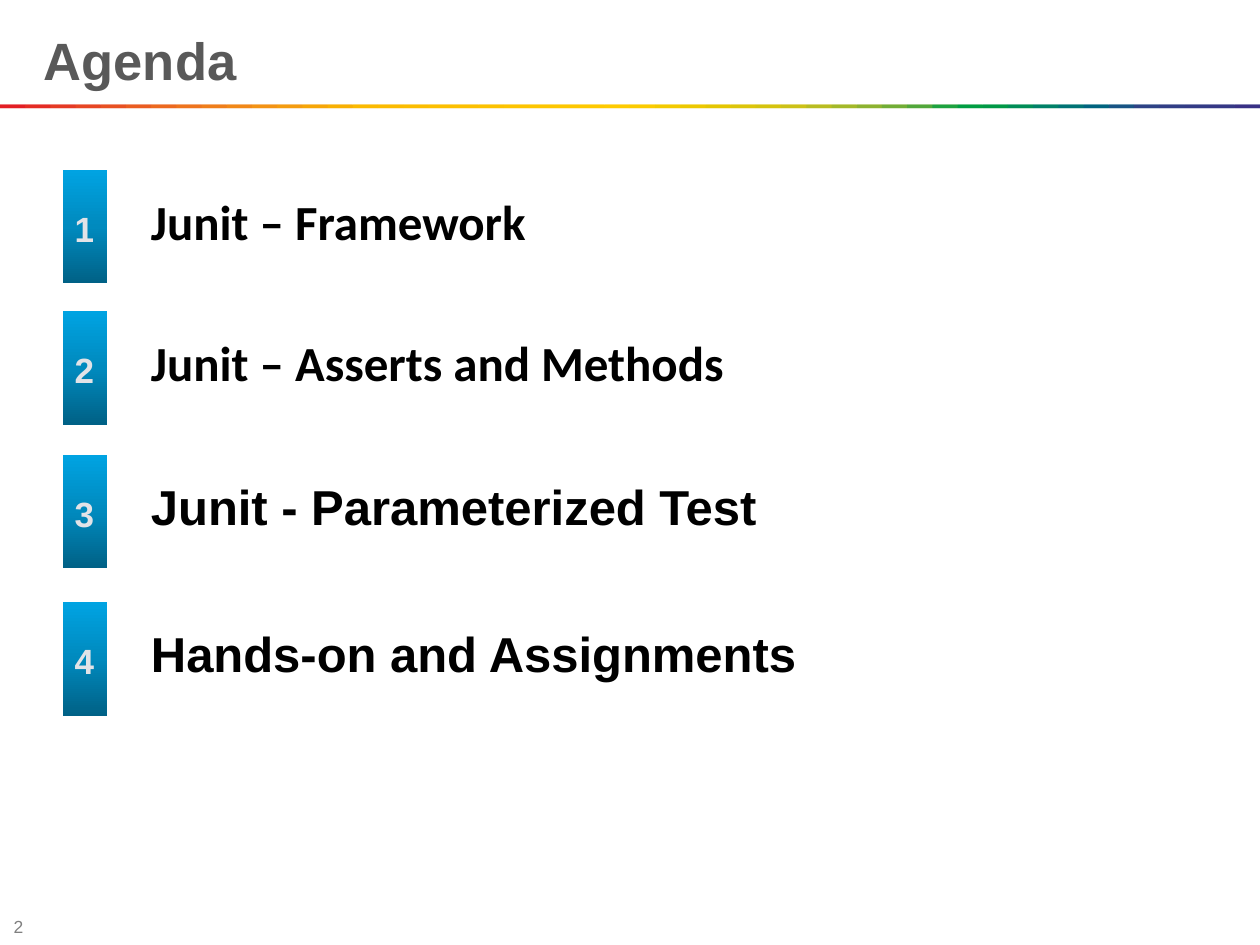
from copy import deepcopy
from dataclasses import dataclass

from pptx import Presentation
from pptx.dml.color import RGBColor as RGB
from pptx.enum.shapes import MSO_SHAPE as Preset
from pptx.enum.text import MSO_ANCHOR as Anchor, PP_ALIGN as Align
from pptx.oxml.ns import qn
from pptx.util import Inches, Pt

COLUMNS, ROWS = 100, 75
CELL = Inches(10) // COLUMNS


@dataclass(frozen=True)
class Theme:
    heading_font: str = "Arial"
    body_font: str = "Calibri"
    title_size: int = 30
    topic_size: int = 28
    numeral_size: int = 20
    page_size: int = 10
    title_color: str = "595959"
    topic_color: str = "000000"
    numeral_color: str = "E2E3E7"
    page_color: str = "808080"
    badge_stops: tuple = ((0, "006186"), (0.5, "008ABE"), (1, "00A3E2"))
    rainbow: tuple = tuple("""
        E31E24 E31E24 E42C24 E53A24 E74623 E85122 EA5D21 EC691F EE741D EF7E1A
        F18817 F39314 F49C0F F6A607 F8B002 FBBA00 FBBB00 FBBD00 FCBF00 FCC000
        FCC200 FDC400 FDC600 FDC700 FEC900 FECB00 FBCB00 F3CA00 ECC800 E4C602
        DCC50A D5C30E CCC117 B8BC21 A3B829 8CB230 71AD36 51A73B 1DA240 009D43
        009846 008C57 008068 007275 00637F 185384 2E4285 313E85 333B85 353885
        393185""".split())


@dataclass(frozen=True)
class Box:
    left: float
    top: float
    width: float
    height: float

    def inner(self, left, top, width, height):
        return Box(self.left + left, self.top + top, width, height)

    def emu(self):
        return [round(n * CELL) for n in (self.left, self.top, self.width, self.height)]


THEME = Theme()
TOPICS = [
    ("Junit – Framework", THEME.body_font, 13.5),
    ("Junit – Asserts and Methods", THEME.body_font, 24.7),
    ("Junit - Parameterized Test", THEME.heading_font, 36.1),
    ("Hands-on and Assignments", THEME.heading_font, 47.8),
]


def add_text(slide, box, text, font, size, color, bold=True,
             anchor=Anchor.TOP, align=Align.LEFT, side=1, edge=0.5):
    frame = slide.shapes.add_textbox(*box.emu()).text_frame
    frame.word_wrap = True
    frame.vertical_anchor = anchor
    frame.margin_left = frame.margin_right = round(side * CELL)
    frame.margin_top = frame.margin_bottom = round(edge * CELL)
    paragraph = frame.paragraphs[0]
    paragraph.text = text
    paragraph.alignment = align
    paragraph.font.name = font
    paragraph.font.size = Pt(size)
    paragraph.font.bold = bold
    paragraph.font.color.rgb = RGB.from_string(color)


def add_block(shapes, box):
    block = shapes.add_shape(Preset.RECTANGLE, *box.emu())
    block.shadow.inherit = False
    block.line.fill.background()
    return block


def fill_gradient(block, stops, angle):
    block.fill.gradient()
    block.fill.gradient_angle = angle
    stop_list = block._element.spPr.find(".//" + qn("a:gsLst"))
    for _ in range(len(stops) - len(stop_list)):
        stop_list.append(deepcopy(stop_list[0]))
    for stop, (position, color) in zip(block.fill.gradient_stops, stops):
        stop.position = position
        stop.color.rgb = RGB.from_string(color)


def draw_rainbow(slide, box):
    strips = slide.shapes.add_group_shape().shapes
    step = box.width / (len(THEME.rainbow) - 1)
    for index, color in enumerate(THEME.rainbow):
        start = max(0, index - 1) * step
        end = min(box.width, (index + 1) * step)
        strip = add_block(strips, box.inner(start, 0, end - start, box.height))
        strip.fill.solid()
        strip.fill.fore_color.rgb = RGB.from_string(color)


def draw_header(slide, box):
    draw_rainbow(slide, box.inner(0, 8.3, box.width, 0.3))
    add_text(slide, box.inner(2.5, 1.6, 92.1, 6.1), "Agenda", THEME.heading_font,
             THEME.title_size, THEME.title_color, anchor=Anchor.BOTTOM)


def draw_topic(slide, box, number, topic, font):
    add_text(slide, box.inner(6, 1.2, 76.7, 7.1), topic, font,
             THEME.topic_size, THEME.topic_color)
    badge = add_block(slide.shapes, box.inner(0, 0, 3.5, box.height))
    fill_gradient(badge, THEME.badge_stops, 90)
    add_text(slide, box.inner(0, 2.5, 3.4, 2), str(number), THEME.heading_font,
             THEME.numeral_size, THEME.numeral_color, align=Align.CENTER, side=0)


def draw_footer(slide, box):
    add_text(slide, box.inner(0.1, 0, 3.9, box.height), "2", THEME.heading_font,
             THEME.page_size, THEME.page_color, bold=False, anchor=Anchor.MIDDLE, edge=0)


def main():
    deck = Presentation()
    deck.slide_width, deck.slide_height = COLUMNS * CELL, ROWS * CELL
    slide = deck.slides.add_slide(deck.slide_layouts[6])
    draw_footer(slide, Box(0, 72.7, COLUMNS, 1.6))
    draw_header(slide, Box(0, 0, COLUMNS, 8.6))
    for number, (topic, font, top) in enumerate(TOPICS, start=1):
        draw_topic(slide, Box(5, top, 82.7, 9), number, topic, font)
    deck.save("out.pptx")


if __name__ == "__main__":
    main()
